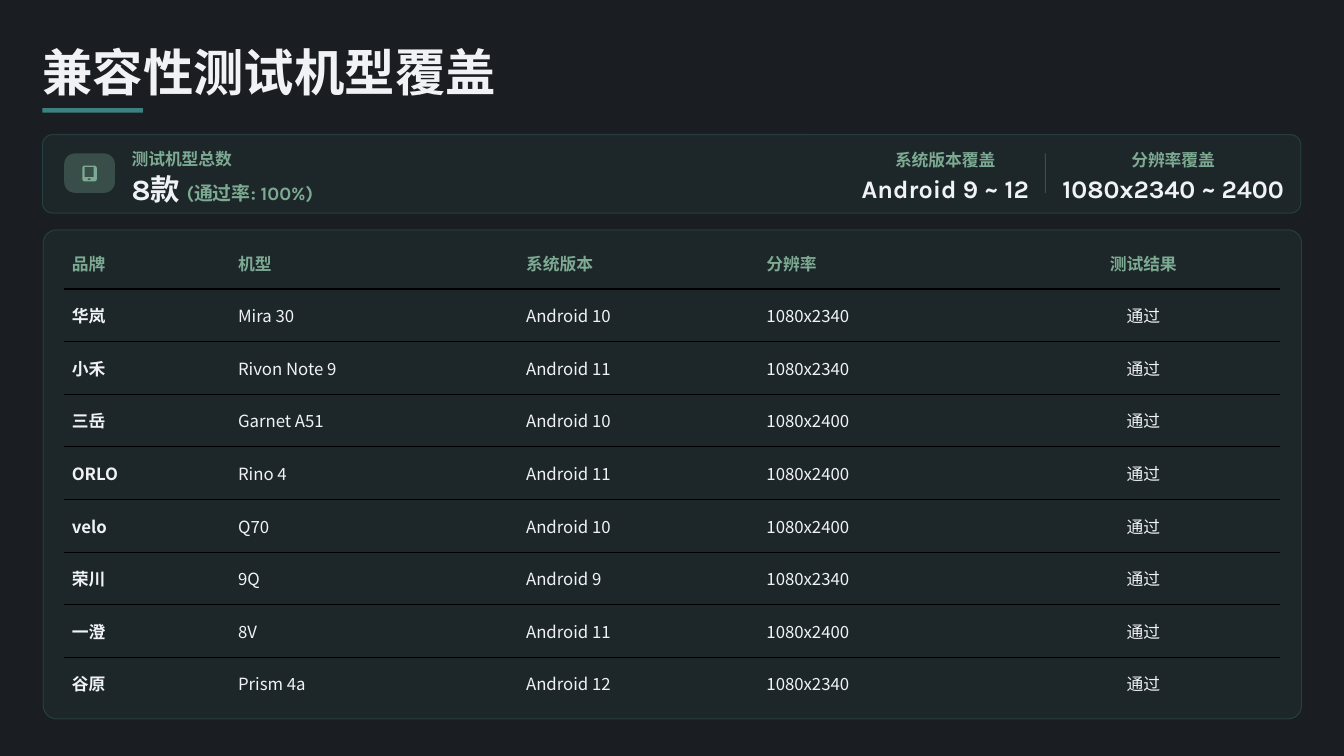
from lxml import etree
from pptx import Presentation
from pptx import util as u
from pptx.dml.color import RGBColor
from pptx.enum import shapes, text
from pptx.oxml import ns

COLORS = {"bg": "1A1D21", "teal": "3C8082", "sage": "7DAA92",
          "white": "F0F2F5", "screen": "3A4E4A", "rule": "000000"}
CJK, LATIN = "Noto Sans CJK SC", "Karla"
LEFT, CENTER = text.PP_ALIGN.LEFT, text.PP_ALIGN.CENTER
SHAPE = shapes.MSO_SHAPE

HEADERS = ["品牌", "机型", "系统版本", "分辨率", "测试结果"]
PHONES = [
    ("华岚", "Mira 30", 10, 2340),
    ("小禾", "Rivon Note 9", 11, 2340),
    ("三岳", "Garnet A51", 10, 2400),
    ("ORLO", "Rino 4", 11, 2400),
    ("velo", "Q70", 10, 2400),
    ("荣川", "9Q", 9, 2340),
    ("一澄", "8V", 11, 2400),
    ("谷原", "Prism 4a", 12, 2340),
]
COLUMNS = [2.2, 3.81, 3.18, 3.28, 3.61]


def rgb(name):
    """Return the named colour."""
    return RGBColor.from_string(COLORS[name])


def paint(fill, color, alpha=100):
    """Make a fill solid, with opacity in percent."""
    fill.solid()
    fill.fore_color.rgb = rgb(color)
    if alpha < 100:
        clr = fill._xPr.find(ns.qn("a:solidFill"))[0]
        etree.SubElement(clr, ns.qn("a:alpha"), val=str(alpha * 1000))


def style(r, size, color, latin=LATIN, bold=True):
    """Format one run."""
    f = r.font
    f.size, f.bold, f.name = u.Pt(size), bold, latin
    f.color.rgb = rgb(color)
    ea = etree.SubElement(r._r.get_or_add_rPr(), ns.qn("a:ea"))
    ea.set("typeface", CJK)


def frame(tf):
    """Remove the insets of a text frame and centre it vertically."""
    tf.margin_left = tf.margin_right = tf.margin_top = tf.margin_bottom = 0
    tf.word_wrap = True
    tf.auto_size = text.MSO_AUTO_SIZE.NONE
    tf.vertical_anchor = text.MSO_ANCHOR.MIDDLE


def add_block(s, kind, x, y, w, h, color, alpha=100, radius=0, outline=False):
    """Add a filled shape, optionally rounded and outlined."""
    sp = s.shapes.add_shape(kind, u.Inches(x), u.Inches(y), u.Inches(w), u.Inches(h))
    sp.shadow.inherit = False
    if radius:
        sp.adjustments[0] = radius / min(w, h)
    paint(sp.fill, color, alpha)
    if outline:
        sp.line.width = u.Pt(1)
        paint(sp.line.fill, "teal", 30)
    else:
        sp.line.fill.background()
    return sp


def add_label(s, x, y, w, h, runs, align=LEFT, spacing=None):
    """Add one line of text made of (text, size, colour) runs."""
    tf = s.shapes.add_textbox(u.Inches(x), u.Inches(y), u.Inches(w), u.Inches(h)).text_frame
    frame(tf)
    p = tf.paragraphs[0]
    p.alignment, p.line_spacing = align, spacing
    for words, size, color in runs:
        r = p.add_run()
        r.text = words
        style(r, size, color)


def add_title(s, x, y, w, h):
    """Place the title with its underline."""
    sp = s.shapes.title
    sp.left, sp.top, sp.width, sp.height = map(u.Inches, (x, y, w, h))
    tf = sp.text_frame
    tf.text = "兼容性测试机型覆盖"
    frame(tf)
    p = tf.paragraphs[0]
    p.alignment, p.line_spacing = LEFT, 0.8
    style(p.runs[0], 48, "white", CJK)
    add_block(s, SHAPE.RECTANGLE, x, y + h + 0.07, 1.33, 0.06, "teal")


def add_phone_icon(s, x, y):
    """Draw a phone on a rounded tile."""
    add_block(s, SHAPE.ROUNDED_RECTANGLE, x, y, 0.67, 0.52, "sage", 30, 0.14)
    add_block(s, SHAPE.ROUNDED_RECTANGLE, x + 0.24, y + 0.16, 0.19, 0.21, "sage", radius=0.03)
    add_block(s, SHAPE.RECTANGLE, x + 0.27, y + 0.18, 0.12, 0.13, "screen")
    add_block(s, SHAPE.OVAL, x + 0.31, y + 0.33, 0.04, 0.02, "screen")


def add_summary(s, x, y, w, h):
    """Draw the summary card with the total and two ranges."""
    add_block(s, SHAPE.ROUNDED_RECTANGLE, x, y, w, h, "teal", 10, 0.14, True)
    add_phone_icon(s, x + 0.29, y + 0.25)
    add_label(s, x + 1.18, y + 0.15, 2.88, 0.26, [("测试机型总数", 16, "sage")], spacing=1.3)
    add_label(s, x + 1.18, y + 0.52, 2.97, 0.4,
              [("8款 ", 28, "white"), ("(通过率: 100%)", 18, "sage")])
    ranges = [(10.77, 2.35, "系统版本覆盖", "Android 9 ~ 12"),
              (13.44, 3.04, "分辨率覆盖", "1080x2340 ~ 2400")]
    for dx, width, name, value in ranges:
        add_label(s, x + dx, y + 0.16, width, 0.26, [(name, 16, "sage")], CENTER, 1.3)
        add_label(s, x + dx, y + 0.52, width, 0.35, [(value, 24, "white")], CENTER, 1.1)
    cx = u.Inches(x + 13.27)
    line = s.shapes.add_connector(shapes.MSO_CONNECTOR.STRAIGHT, cx, u.Inches(y + 0.25),
                                  cx, u.Inches(y + 0.77))
    line.line.width = u.Pt(1)
    paint(line.line.fill, "teal", 50)
    etree.SubElement(line._element.spPr, ns.qn("a:effectLst"))


def set_borders(cell, top, bottom):
    """Set the horizontal borders in points, and no vertical ones."""
    tcPr = cell._tc.get_or_add_tcPr()
    for side, width in (("L", 0), ("R", 0), ("T", top), ("B", bottom)):
        ln = etree.SubElement(tcPr, ns.qn(f"a:ln{side}"), w=str(u.Pt(width)))
        if width:
            fill = etree.SubElement(ln, ns.qn("a:solidFill"))
            etree.SubElement(fill, ns.qn("a:srgbClr"), val=COLORS["rule"])
        else:
            etree.SubElement(ln, ns.qn("a:noFill"))


def add_phone_table(s, x, y, w, h):
    """Draw the panel and the table of tested phones."""
    add_block(s, SHAPE.ROUNDED_RECTANGLE, x, y, w, h, "teal", 10, 0.18, True)
    rows = [HEADERS] + [(brand, model, f"Android {system}", f"1080x{height}", "通过")
                        for brand, model, system, height in PHONES]
    rules = [0, 2] + [1] * (len(rows) - 2) + [0]
    table = s.shapes.add_table(len(rows), len(COLUMNS), u.Inches(x + 0.28), u.Inches(y + 0.09),
                               u.Inches(sum(COLUMNS)), u.Inches(6.26)).table
    table.first_row = table.horz_banding = False
    for column, width in zip(table.columns, COLUMNS):
        column.width = u.Inches(width)
    for i, row in enumerate(rows):
        for j, words in enumerate(row):
            cell = table.cell(i, j)
            set_borders(cell, rules[i], rules[i + 1])
            cell.fill.background()
            cell.vertical_anchor = text.MSO_ANCHOR.MIDDLE
            cell.text = words
            p = cell.text_frame.paragraphs[0]
            p.alignment = CENTER if j == len(COLUMNS) - 1 else LEFT
            style(p.runs[0], 16, "white" if i else "sage", CJK, i == 0 or j == 0)


def main():
    """Build and save the slide."""
    prs = Presentation()
    prs.slide_width, prs.slide_height = u.Inches(17.78), u.Inches(10)
    s = prs.slides.add_slide(prs.slide_layouts[5])
    paint(s.background.fill, "bg")
    add_title(s, 0.56, 0.69, 17, 0.67)
    add_summary(s, 0.56, 1.78, 16.65, 1.04)
    add_phone_table(s, 0.57, 3.04, 16.65, 6.47)
    prs.save("out.pptx")


if __name__ == "__main__":
    main()
